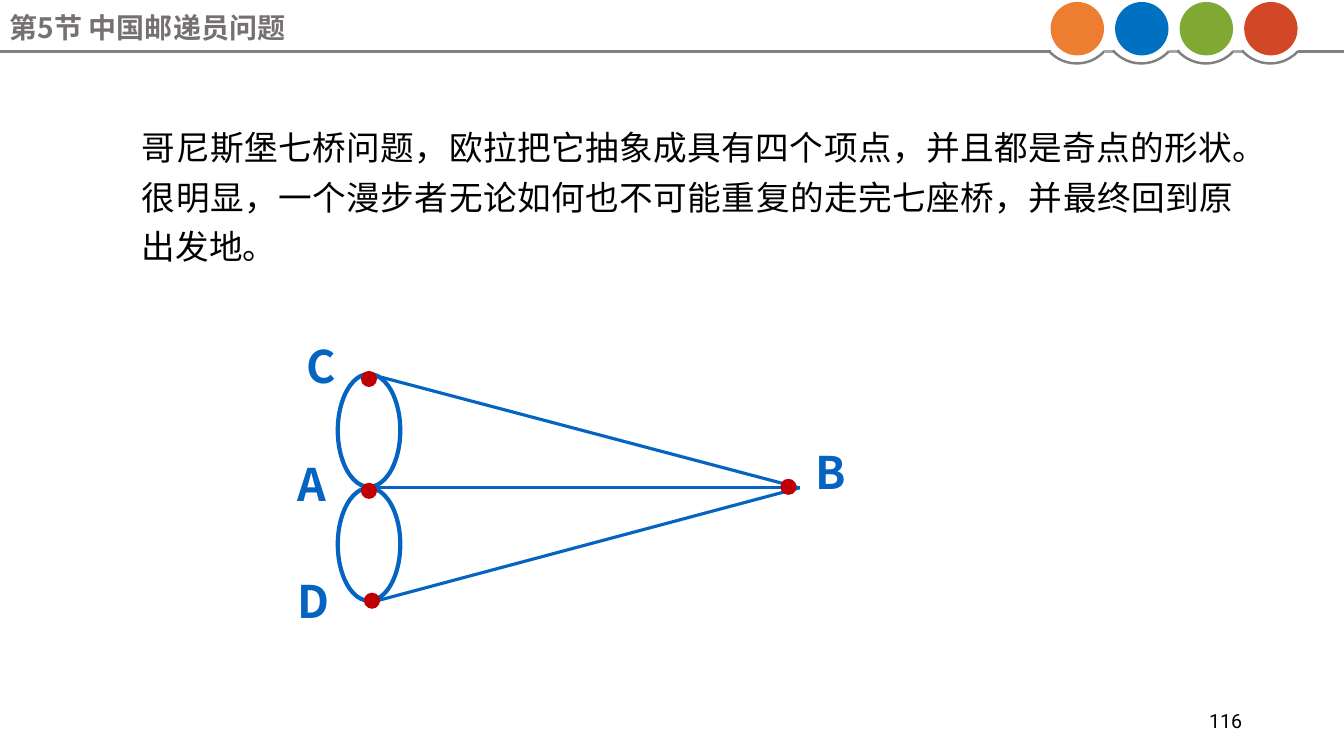
"""Build the slide on the Chinese postman problem with the seven bridges graph."""
from lxml.etree import SubElement
from pptx import Presentation
from pptx.dml.color import RGBColor
from pptx.enum.shapes import MSO_CONNECTOR, MSO_SHAPE
from pptx.enum.text import MSO_ANCHOR, PP_ALIGN
from pptx.oxml.ns import qn
from pptx.util import Inches, Pt

BLACK = RGBColor(0x00, 0x00, 0x00)
BLUE = RGBColor(0x05, 0x63, 0xC1)
RED = RGBColor(0xC0, 0x00, 0x00)
GRAY = RGBColor(0x80, 0x80, 0x80)
LIGHT_GRAY = RGBColor(0xA6, 0xA6, 0xA6)
TITLE_GRAY = RGBColor(0x76, 0x71, 0x71)
BADGE_COLORS = [RGBColor(0xED, 0x7D, 0x31), RGBColor(0x00, 0x70, 0xC0),
                RGBColor(0x80, 0xA9, 0x33), RGBColor(0xD2, 0x47, 0x26)]
CJK = "Noto Sans CJK SC"

TITLE = "第5节 中国邮递员问题"
BODY = ["哥尼斯堡七桥问题，欧拉把它抽象成具有四个项点，并且都是奇点的形状。",
        "很明显，一个漫步者无论如何也不可能重复的走完七座桥，并最终回到原出发地。"]
PAGE = "116"
LOOP_TOPS = [3.71, 4.84]
BRIDGE_END = (7.93, 4.84)
BRIDGE_STARTS = [(3.66, 4.84), (3.74, 5.96), (3.66, 3.71)]
LABELS = [("B", 7.99, 4.52), ("A", 2.85, 4.63), ("D", 2.85, 5.79), ("C", 2.94, 3.46)]
NODES = [(3.58, 3.68), (3.61, 5.88), (3.58, 4.79), (7.74, 4.75)]

RULE_Y = 0.51
RULE_WIDTH = 1.77
BADGE_LEFT, BADGE_TOP, BADGE_SIZE, BADGE_STEP = 10.42, 0.02, 0.53, 0.64
ARC_SIZE, ARC_OFFSET = 0.74, -0.11

prs = Presentation()
prs.slide_width, prs.slide_height = Inches(13.33), Inches(7.5)
s = prs.slides.add_slide(prs.slide_layouts[6])


def add_shape(kind, left, top, width, height, fill=None, line=None, weight=0):
    sp = s.shapes.add_shape(kind, Inches(left), Inches(top), Inches(width), Inches(height))
    sp.shadow.inherit = False
    if fill is None:
        sp.fill.background()
    else:
        sp.fill.solid()
        sp.fill.fore_color.rgb = fill
    if line is None:
        sp.line.fill.background()
    else:
        sp.line.color.rgb = line
        sp.line.width = Pt(weight)
    return sp


def add_line(start, end, color, weight):
    points = [Inches(v) for v in (*start, *end)]
    cn = s.shapes.add_connector(MSO_CONNECTOR.STRAIGHT, *points)
    cn.line.color.rgb = color
    cn.line.width = Pt(weight)
    SubElement(cn._element.spPr, qn("a:effectLst"))


def add_text(lines, left, top, width, height, size, color, font=CJK, bold=False,
             align=PP_ALIGN.LEFT, spacing=1.0, margin_top=0.0, anchor=MSO_ANCHOR.TOP):
    tf = s.shapes.add_textbox(Inches(left), Inches(top), Inches(width), Inches(height)).text_frame
    tf.word_wrap = True
    tf.margin_top = Inches(margin_top)
    tf.vertical_anchor = anchor
    for i, line in enumerate(lines):
        p = tf.paragraphs[0] if i == 0 else tf.add_paragraph()
        p.alignment = align
        p.line_spacing = spacing
        r = p.add_run()
        r.text = line
        r.font.size, r.font.bold, r.font.name = Pt(size), bold, font
        r.font.color.rgb = color
        SubElement(r._r.get_or_add_rPr(), qn("a:ea")).set("typeface", font)


add_text(BODY, 1.31, 1.07, 11.02, 2, 24, BLACK, align=PP_ALIGN.JUSTIFY,
         spacing=1.23, margin_top=0.1)
add_text([PAGE], 9.42, 6.95, 3, 0.4, 14, BLACK, font="Roboto", align=PP_ALIGN.RIGHT,
         margin_top=0.05, anchor=MSO_ANCHOR.MIDDLE)

for top in LOOP_TOPS:
    add_shape(MSO_SHAPE.OVAL, 3.35, top, 0.62, 1.12, line=BLUE, weight=3)
for start in BRIDGE_STARTS:
    add_line(start, BRIDGE_END, BLUE, 2.25)
for letter, left, top in LABELS:
    add_text([letter], left, top, 0.8, 0.53, 32, BLUE, bold=True, spacing=0.8)
for left, top in NODES:
    add_shape(MSO_SHAPE.FLOWCHART_CONNECTOR, left, top, 0.16, 0.16, fill=RED)

rule_start = 0
for i, color in enumerate(BADGE_COLORS):
    left = BADGE_LEFT + i * BADGE_STEP
    add_line((rule_start, RULE_Y), (left, RULE_Y), LIGHT_GRAY if i else GRAY, RULE_WIDTH)
    arc = add_shape(MSO_SHAPE.ARC, left + ARC_OFFSET, ARC_OFFSET, ARC_SIZE, ARC_SIZE,
                    line=GRAY, weight=RULE_WIDTH)
    arc.adjustments[0], arc.adjustments[1] = 25.38, 83.6
    add_shape(MSO_SHAPE.OVAL, left, BADGE_TOP, BADGE_SIZE, BADGE_SIZE, fill=color)
    rule_start = left + BADGE_SIZE
add_line((rule_start, RULE_Y), (13.33, RULE_Y), GRAY, RULE_WIDTH)
add_text([TITLE], 0, 0.1, 10.96, 0.36, 20, TITLE_GRAY, bold=True)

prs.save("out.pptx")
